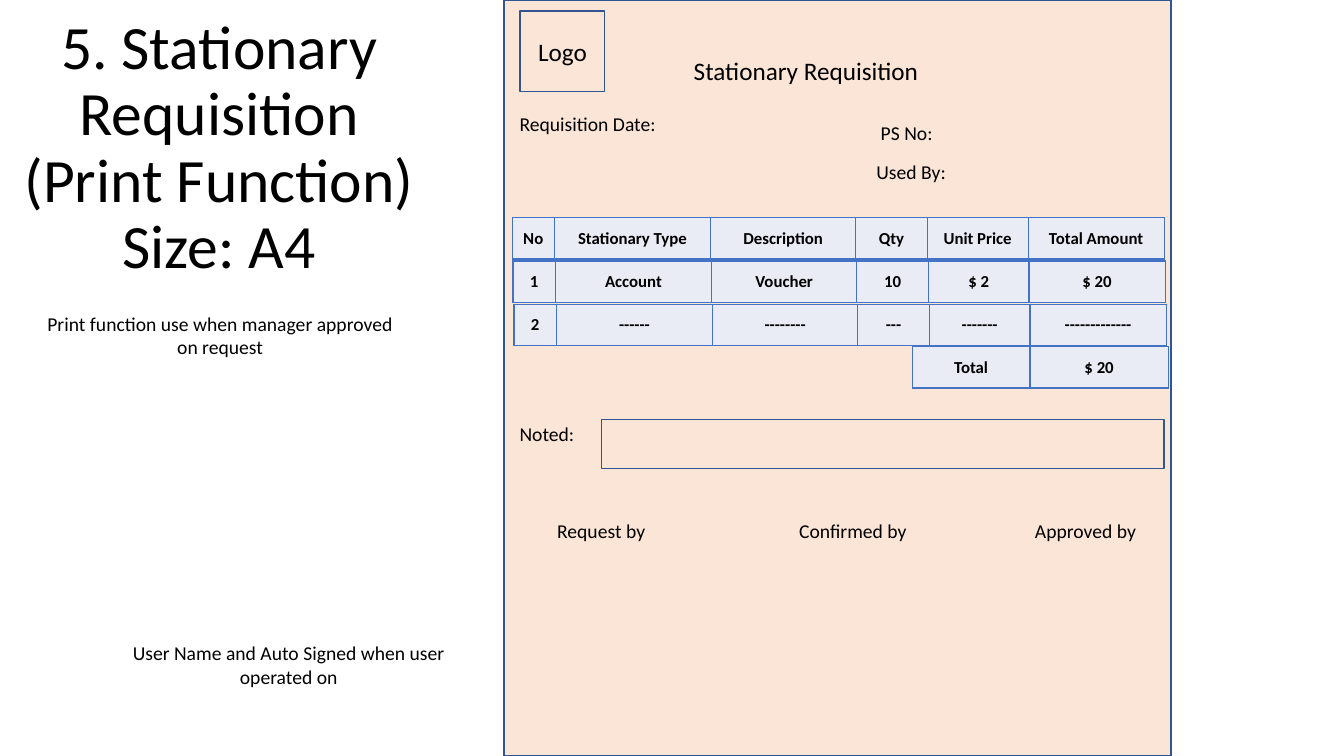
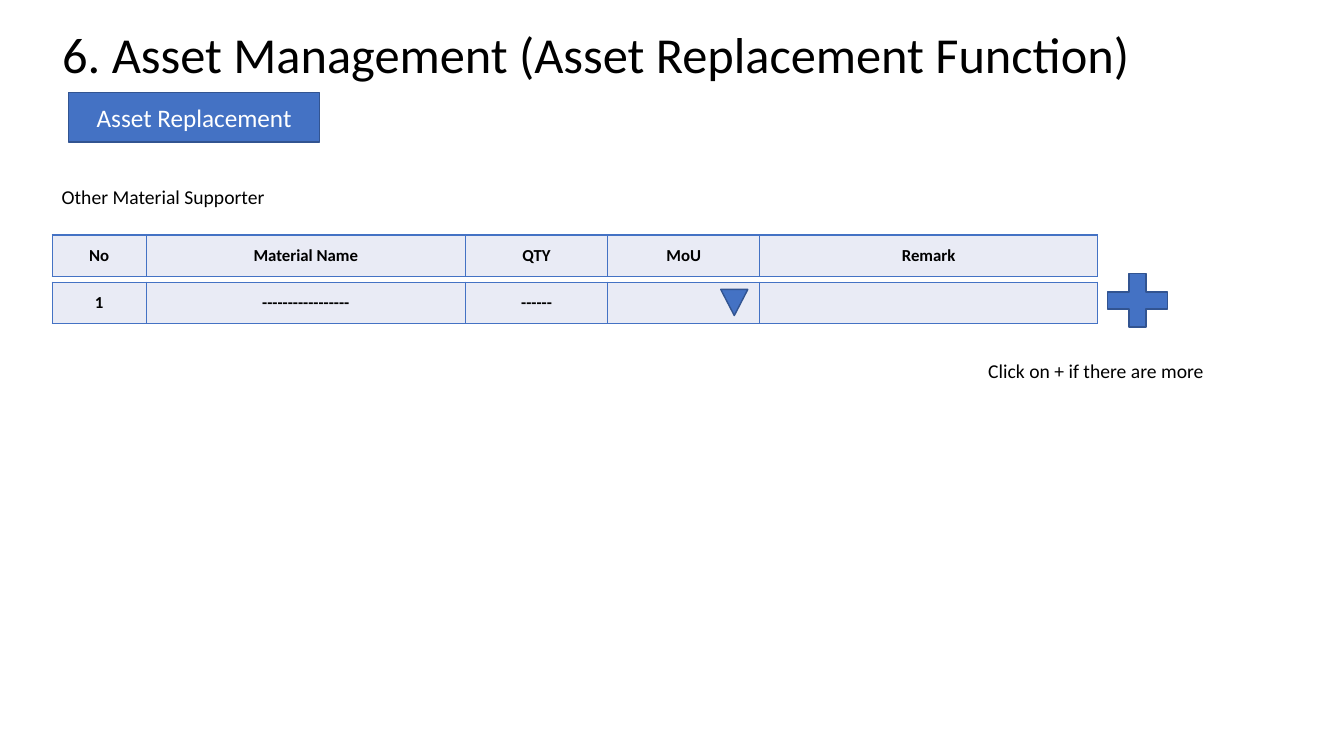
from lxml.etree import SubElement
from pptx import Presentation
from pptx.dml.color import RGBColor
from pptx.enum.shapes import MSO_SHAPE
from pptx.enum.text import MSO_ANCHOR, PP_ALIGN
from pptx.oxml.ns import qn
from pptx.util import Pt

BLACK = RGBColor(0x00, 0x00, 0x00)
WHITE = RGBColor(0xFF, 0xFF, 0xFF)
BLUE = RGBColor(0x44, 0x72, 0xC4)
OUTLINE = RGBColor(0x32, 0x54, 0x91)
PAPER = RGBColor(0xFB, 0xE5, 0xD6)
CELL = RGBColor(0xE9, 0xEB, 0xF5)
FONT = "Calibri"
ROW_HEIGHT = 29.5
LABEL_HEIGHT = 35.3
FORM_COLUMNS = (30.2, 111.6, 103.7, 51.1, 72, 97.2)
FORM_ROWS = (
    ("No", "Stationary Type", "Description", "Qty", "Unit Price", "Total Amount"),
    ("1", "Account", "Voucher", "10", "$ 2", "$ 20"),
    ("2", "------", "--------", "---", "-------", "-------------"),
)
MATERIAL_COLUMNS = (67, 228.2, 101.5, 108.7, 241.2)
MATERIAL_ROWS = (
    ("No", "Material Name", "QTY", "MoU", "Remark"),
    ("1", "-----------------", "------", "", ""),
)


def style_text(frame, text, size, align, color=BLACK, bold=False, line_spacing=None):
    """Fill a text frame and format its paragraphs."""
    frame.text = text
    for para in frame.paragraphs:
        para.alignment = align
        if line_spacing:
            para.line_spacing = line_spacing
        for span in para.runs:
            span.font.name = FONT
            span.font.size = Pt(size)
            span.font.bold = bold
            span.font.color.rgb = color


def add_label(page, text, left, top, width, align=PP_ALIGN.CENTER, size=14, inset=7.2):
    """Place a vertically centred line of text."""
    box = page.shapes.add_textbox(Pt(left), Pt(top), Pt(width), Pt(LABEL_HEIGHT))
    frame = box.text_frame
    frame.word_wrap = True
    frame.vertical_anchor = MSO_ANCHOR.MIDDLE
    frame.margin_left = Pt(inset)
    style_text(frame, text, size, align)


def add_title(page, text, left, top, width, height, size, align):
    """Place a slide title with tight line spacing."""
    box = page.shapes.add_textbox(Pt(left), Pt(top), Pt(width), Pt(height))
    box.text_frame.word_wrap = True
    style_text(box.text_frame, text, size, align, line_spacing=0.9)


def add_block(page, kind, left, top, width, height, fill=None, text="", color=BLACK):
    """Place an outlined preset shape, filled or hollow."""
    shape = page.shapes.add_shape(kind, Pt(left), Pt(top), Pt(width), Pt(height))
    shape.shadow.inherit = False
    shape.line.color.rgb = OUTLINE
    shape.line.width = Pt(1)
    if fill is None:
        shape.fill.background()
    else:
        shape.fill.solid()
        shape.fill.fore_color.rgb = fill
    if text:
        shape.text_frame.vertical_anchor = MSO_ANCHOR.MIDDLE
        style_text(shape.text_frame, text, 18, PP_ALIGN.CENTER, color)
    return shape


def add_borders(cell):
    """Draw a thin blue line on every side of a cell."""
    properties = cell._tc.get_or_add_tcPr()
    for side in ("a:lnL", "a:lnR", "a:lnT", "a:lnB"):
        line = SubElement(properties, qn(side), w=str(Pt(1)))
        fill = SubElement(line, qn("a:solidFill"))
        SubElement(fill, qn("a:srgbClr"), val=str(BLUE))


def add_row(page, texts, widths, left, top):
    """Place a one-row table with bold centred cells."""
    table = page.shapes.add_table(
        1, len(widths), Pt(left), Pt(top), Pt(sum(widths)), Pt(ROW_HEIGHT)
    ).table
    table.first_row = False
    table.horz_banding = False
    table.rows[0].height = Pt(ROW_HEIGHT)
    for index, (text, width) in enumerate(zip(texts, widths)):
        table.columns[index].width = Pt(width)
        cell = table.cell(0, index)
        add_borders(cell)
        cell.fill.solid()
        cell.fill.fore_color.rgb = CELL
        cell.vertical_anchor = MSO_ANCHOR.MIDDLE
        style_text(cell.text_frame, text, 12, PP_ALIGN.CENTER, bold=True)


def draw_form(page, left, top, width, height):
    """Draw the printed requisition form inside its box."""
    add_block(page, MSO_SHAPE.RECTANGLE, left, top, width, height, PAPER)
    add_block(page, MSO_SHAPE.RECTANGLE, left + 11.5, top + 7.9, 60.5, 57.6, text="Logo")
    add_label(page, "Stationary Requisition", left + 85, top + 32.4, 261.4, size=18)
    add_label(page, "Requisition Date:", left + 0.7, top + 70.6, 118.8, PP_ALIGN.LEFT, inset=10.4)
    add_label(page, "PS No:", left + 255.6, top + 77, 152.6, PP_ALIGN.LEFT, inset=13.5)
    add_label(page, "Used By:", left + 255.6, top + 105.1, 152.6, PP_ALIGN.LEFT, inset=10.4)
    for index, texts in enumerate(FORM_ROWS):
        add_row(page, texts, FORM_COLUMNS, left + 5.8 + 0.7 * index, top + 155.5 + 31 * index)
    add_row(page, ("Total", "$ 20"), (84.2, 98.6), left + 291.6, top + 247.7)
    add_label(page, "Noted:", left + 0.7, top + 292.3, 152.6, PP_ALIGN.LEFT, inset=10.4)
    add_block(page, MSO_SHAPE.RECTANGLE, left + 69.8, top + 299.5, 401.8, LABEL_HEIGHT)
    signatures = (("Request by", 24.5), ("Confirmed by", 197.3), ("Approved by", 365.8))
    for text, offset in signatures:
        add_label(page, text, left + offset, top + 361.4, 105.8, PP_ALIGN.LEFT, inset=13.5)


def draw_material_list(page, left, top):
    """Draw the material rows with their drop-down and add buttons."""
    for index, texts in enumerate(MATERIAL_ROWS):
        add_row(page, texts, MATERIAL_COLUMNS, left, top + 33.8 * index)
    arrow = add_block(page, MSO_SHAPE.ISOSCELES_TRIANGLE, left + 477.4, top + 38.9, 19.4, 18.7, BLUE)
    arrow.rotation = 180
    add_block(page, MSO_SHAPE.MATH_PLUS, left + 745.9, top + 20.9, 58.3, 51.8, BLUE)
    add_label(page, "Click on + if there are more", left + 645.8, top + 79.2, 199.4)


def build_requisition(page):
    """Build the stationary requisition slide."""
    title = "5. Stationary Requisition (Print Function)\nSize: A4"
    add_title(page, title, 0, 7.9, 313.2, 253.4, 44, PP_ALIGN.CENTER)
    add_label(page, "Print function use when manager approved on request", 26.6, 221.8, 261.4)
    add_label(page, "User Name and Auto Signed when user operated on", 75.6, 457.2, 261.4)
    draw_form(page, 360, 0, 476.6, 540)


def build_replacement(page):
    """Build the asset replacement slide."""
    title = "6. Asset Management (Asset Replacement Function)"
    add_title(page, title, 37.4, 18, 804.2, 49, 36, PP_ALIGN.LEFT)
    add_block(page, MSO_SHAPE.RECTANGLE, 49, 66.2, 179.3, LABEL_HEIGHT, BLUE,
              "Asset Replacement", WHITE)
    add_label(page, "Other Material Supporter", 4.3, 123.1, 224.6)
    draw_material_list(page, 37.4, 167.8)


def main():
    """Create the deck and save it."""
    deck = Presentation()
    deck.slide_width = Pt(960)
    deck.slide_height = Pt(540)
    for build in (build_requisition, build_replacement):
        build(deck.slides.add_slide(deck.slide_layouts[6]))
    deck.save("out.pptx")


if __name__ == "__main__":
    main()
